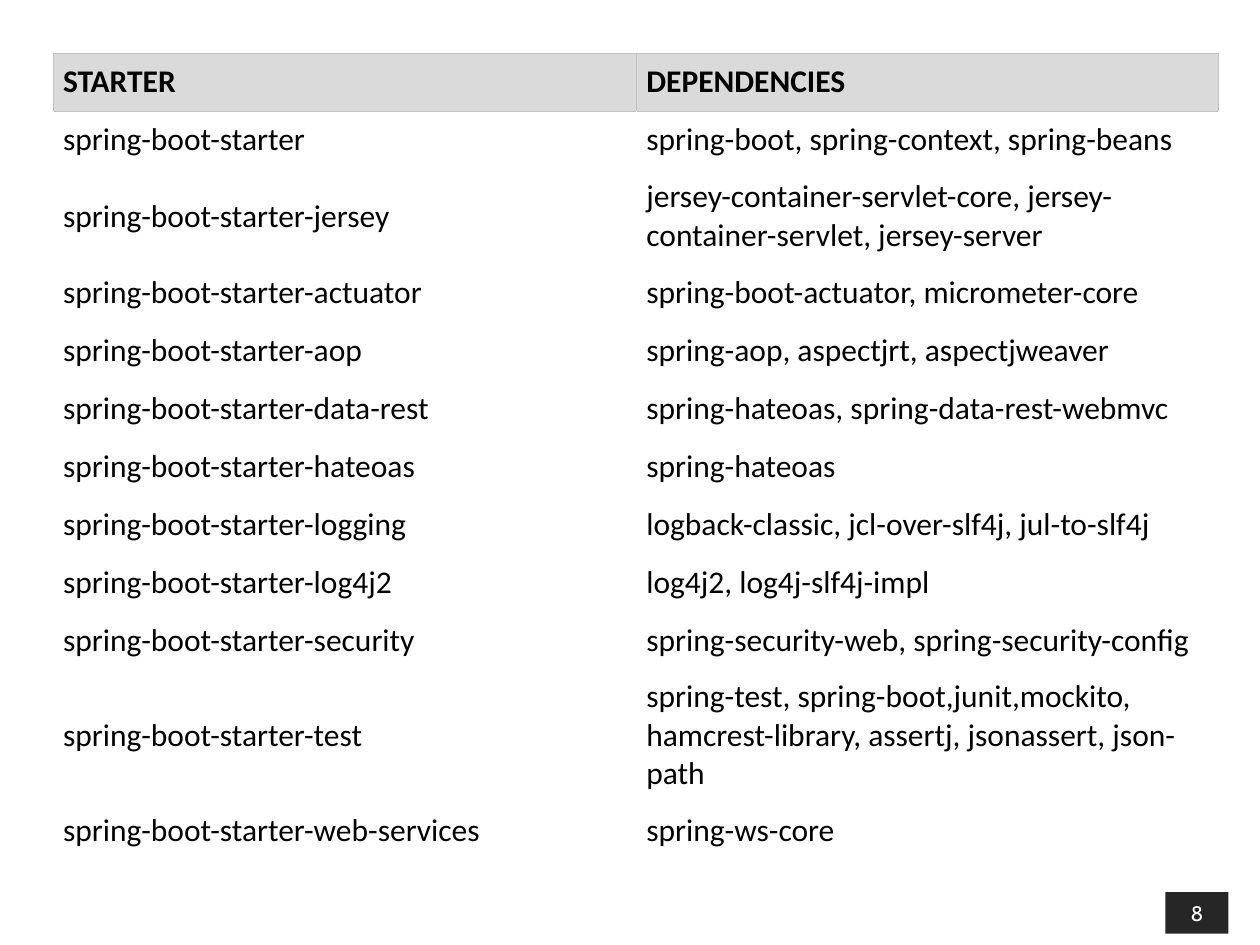
"""Build a slide with a table of Spring Boot starters and their dependencies."""
import pptx
import pptx.dml.color
import pptx.enum.shapes
import pptx.enum.text
import pptx.oxml
import pptx.oxml.ns
import pptx.util

WIDE, HIGH = 10, 7.5
EDGE = 0.42
COLS = (4.63, 4.62)
ROW, LINE = 0.46, 0.295
HUES = {"head": "DADADA", "rule": "C3C3C3", "body": "FFFFFF",
        "ink": "000000", "badge": "262626", "digit": "FFFFFF"}
TITLES = ("STARTER", "DEPENDENCIES")
ROWS = (
    ("", "spring-boot, spring-context, spring-beans", 1),
    ("-jersey", "jersey-container-servlet-core, jersey-container-servlet, jersey-server", 2),
    ("-actuator", "spring-boot-actuator, micrometer-core", 1),
    ("-aop", "spring-aop, aspectjrt, aspectjweaver", 1),
    ("-data-rest", "spring-hateoas, spring-data-rest-webmvc", 1),
    ("-hateoas", "spring-hateoas", 1),
    ("-logging", "logback-classic, jcl-over-slf4j, jul-to-slf4j", 1),
    ("-log4j2", "log4j2, log4j-slf4j-impl", 1),
    ("-security", "spring-security-web, spring-security-config", 1),
    ("-test", "spring-test, spring-boot,junit,mockito, hamcrest-library, "
              "assertj, jsonassert, json-path", 3),
    ("-web-services", "spring-ws-core", 1),
)


def inch(*sizes):
    return [pptx.util.Inches(size) for size in sizes]


def paint(fill, hue):
    fill.solid()
    fill.fore_color.rgb = pptx.dml.color.RGBColor.from_string(HUES[hue])


def write(frame, text, face, size, hue, bold=False):
    frame.text = text
    for run in frame.paragraphs[0].runs:
        run.font.name = face
        run.font.size = pptx.util.Pt(size)
        run.font.bold = bold
        run.font.color.rgb = pptx.dml.color.RGBColor.from_string(HUES[hue])


def rule(cell, sides):
    props = cell._tc.get_or_add_tcPr()
    for side in sides:
        props.append(pptx.oxml.parse_xml(
            f'<a:ln{side} {pptx.oxml.ns.nsdecls("a")} w="{pptx.util.Pt(0.45)}">'
            f'<a:solidFill><a:srgbClr val="{HUES["rule"]}"/></a:solidFill></a:ln{side}>'))


def fill_cell(cell, text, head, sides):
    rule(cell, sides)
    paint(cell.fill, "head" if head else "body")
    cell.vertical_anchor = pptx.enum.text.MSO_ANCHOR.MIDDLE
    cell.margin_left, cell.margin_right = inch(0.08, 0.08)
    write(cell.text_frame, text, "Calibri", 18, "ink", head)


def add_grid(slide):
    data = [(*TITLES, 1)]
    data += [("spring-boot-starter" + end, needs, lines) for end, needs, lines in ROWS]
    highs = [ROW + LINE * (lines - 1) for *_, lines in data]
    box = inch(EDGE, EDGE, sum(COLS), sum(highs))
    table = slide.shapes.add_table(len(data), len(COLS), *box).table
    table.first_row = table.horz_banding = False
    for col, width in zip(table.columns, inch(*COLS)):
        col.width = width
    for row, high in zip(table.rows, inch(*highs)):
        row.height = high
    for i, (*texts, _) in enumerate(data):
        sides = {0: "LRTB", 1: "T"}.get(i, "")
        for j, text in enumerate(texts):
            fill_cell(table.cell(i, j), text, i == 0, sides)


def add_badge(slide, text):
    kind = pptx.enum.shapes.MSO_SHAPE.RECTANGLE
    badge = slide.shapes.add_shape(kind, *inch(9.25, 7.08, 0.5, 0.33))
    badge.shadow.inherit = False
    badge.line.fill.background()
    paint(badge.fill, "badge")
    write(badge.text_frame, text, "Cabin", 12, "digit")
    badge.text_frame.paragraphs[0].alignment = pptx.enum.text.PP_ALIGN.CENTER


def main():
    deck = pptx.Presentation()
    deck.slide_width, deck.slide_height = inch(WIDE, HIGH)
    slide = deck.slides.add_slide(deck.slide_layouts[6])
    paint(slide.background.fill, "body")
    add_badge(slide, "8")
    add_grid(slide)
    deck.save("out.pptx")


if __name__ == "__main__":
    main()
